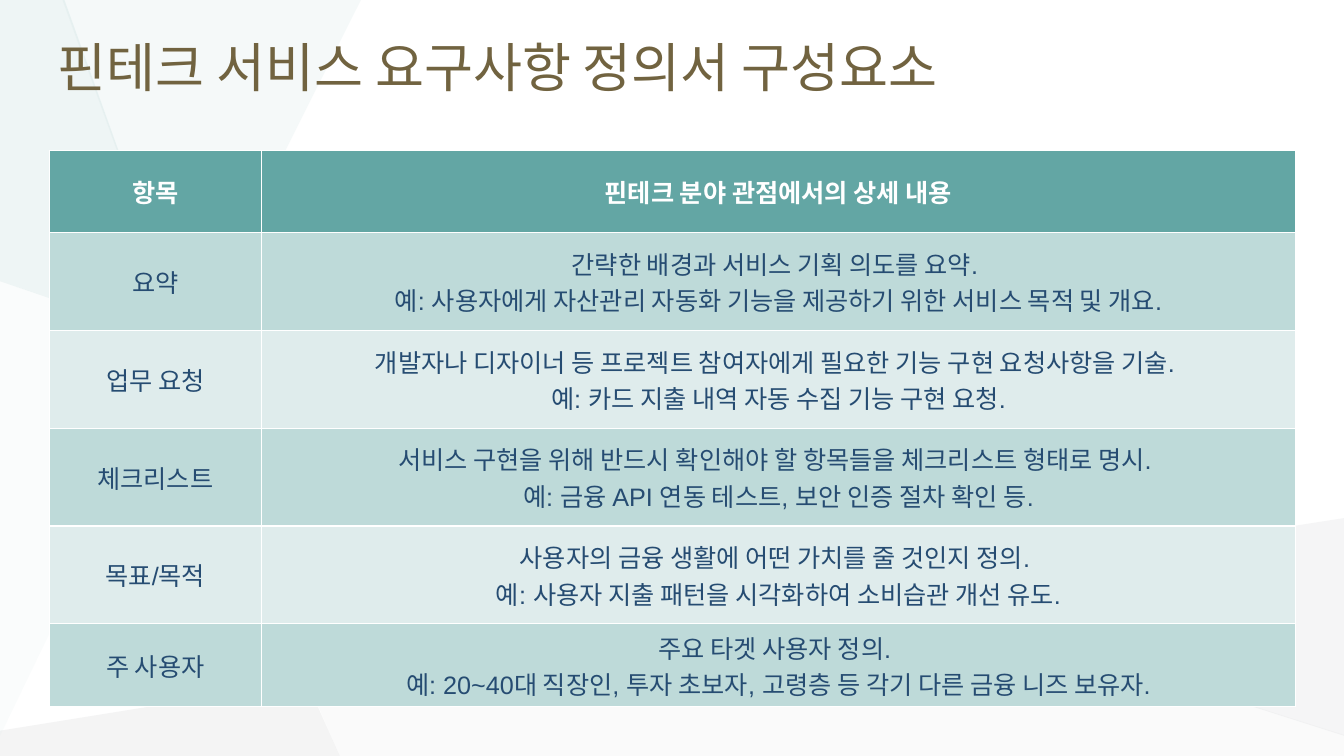
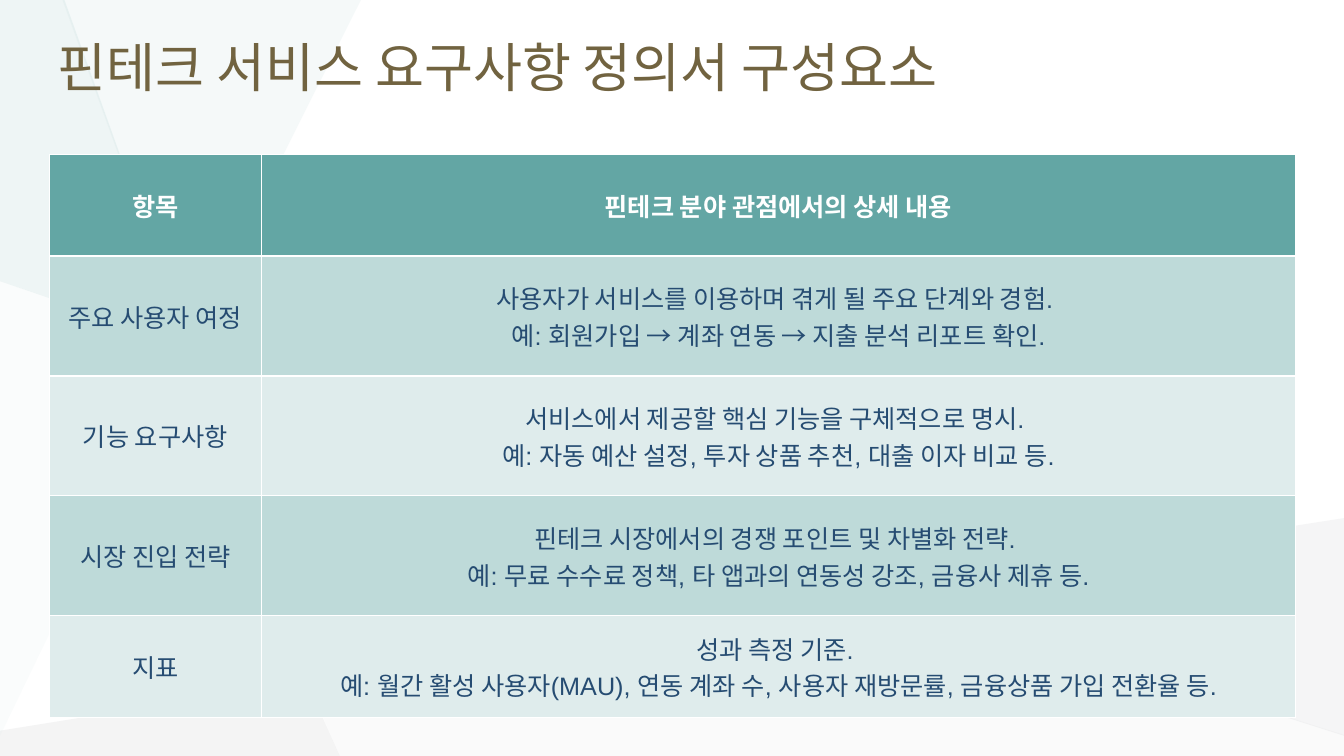
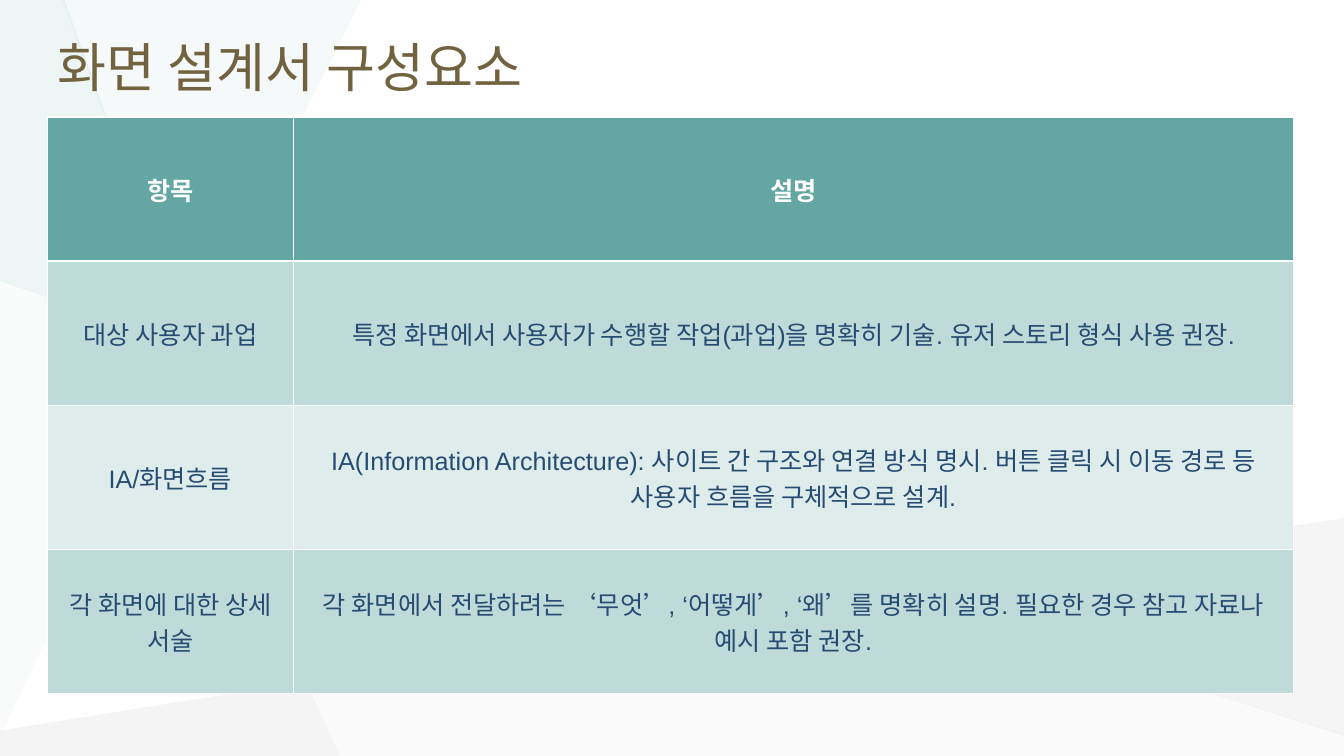
from lxml import etree
from pptx import Presentation
from pptx.dml.color import RGBColor
from pptx.enum.text import MSO_ANCHOR, PP_ALIGN
from pptx.oxml.ns import qn
from pptx.util import Inches, Pt

CENTER, MIDDLE = PP_ALIGN.CENTER, MSO_ANCHOR.MIDDLE
FONT = "Arial"
COLORS = {
    "title": "716340", "header": "63A6A4", "header_text": "FFFFFF",
    "body_text": "264C72", "odd_row": "BEDAD9", "even_row": "DFECEC",
}
SLIDE_WIDTH, SLIDE_HEIGHT = 13.33, 7.5
TABLE_WIDTH = 12.36
TITLE_BOX = (0.47, 0.14, TABLE_WIDTH, 1.03)
TITLE_SIZE, TABLE_SIZE = 38, 18

# Background facets, back to front: fill, opacity in percent, corners in inches
FACETS = [
    ("F3F2F2", 26, [(1.9, 3.44), (2.41, 5.02), (3.04, 6.76), (8.79, 5.85)]),
    ("B6B8BA", 15, [(3.04, 6.76), (0, 7.25), (0, 7.5), (3.37, 7.5)]),
    ("E0EDED", 31, [(3.58, 0), (0.62, 0), (1.86, 3.43)]),
    ("C6C8CA", 17, [(13.33, 5.14), (8.79, 5.85), (13.33, 7.3)]),
    ("B6B8BA", 6, [(8.79, 5.85), (3.05, 6.76), (3.37, 7.5), (13.33, 7.5), (13.33, 7.29)]),
    ("C1DBDB", 27, [(0.64, 0), (0, 0), (0, 2.79), (1.87, 3.43)]),
    ("C1DBDB", 8, [(0, 2.79), (0, 7.3), (1.87, 3.43)]),
]

REQUIREMENTS_TITLE = "핀테크 서비스 요구사항 정의서 구성요소"
REQUIREMENTS_HEADER = ("항목", "핀테크 분야 관점에서의 상세 내용")
SLIDES = [
    {
        "title": REQUIREMENTS_TITLE,
        "origin": (0.49, 1.49), "label_width": 2.1,
        "row_heights": [0.82] + [0.97] * 4 + [0.82],
        "rows": [
            REQUIREMENTS_HEADER,
            ("요약", "간략한 배경과 서비스 기획 의도를 요약. \n"
                   "예: 사용자에게 자산관리 자동화 기능을 제공하기 위한 서비스 목적 및 개요."),
            ("업무 요청", "개발자나 디자이너 등 프로젝트 참여자에게 필요한 기능 구현 요청사항을 기술. \n"
                      "예: 카드 지출 내역 자동 수집 기능 구현 요청."),
            ("체크리스트", "서비스 구현을 위해 반드시 확인해야 할 항목들을 체크리스트 형태로 명시. \n"
                      "예: 금융 API 연동 테스트, 보안 인증 절차 확인 등."),
            ("목표/목적", "사용자의 금융 생활에 어떤 가치를 줄 것인지 정의. \n"
                      "예: 사용자 지출 패턴을 시각화하여 소비습관 개선 유도."),
            ("주 사용자", "주요 타겟 사용자 정의. \n"
                      "예: 20~40대 직장인, 투자 초보자, 고령층 등 각기 다른 금융 니즈 보유자."),
        ],
    },
    {
        "title": REQUIREMENTS_TITLE,
        "origin": (0.49, 1.53), "label_width": 2.1,
        "row_heights": [1.01] + [1.19] * 3 + [1.01],
        "rows": [
            REQUIREMENTS_HEADER,
            ("주요 사용자 여정", "사용자가 서비스를 이용하며 겪게 될 주요 단계와 경험. \n"
                          "예: 회원가입 → 계좌 연동 → 지출 분석 리포트 확인."),
            ("기능 요구사항", "서비스에서 제공할 핵심 기능을 구체적으로 명시. \n"
                        "예: 자동 예산 설정, 투자 상품 추천, 대출 이자 비교 등."),
            ("시장 진입 전략", "핀테크 시장에서의 경쟁 포인트 및 차별화 전략. \n"
                         "예: 무료 수수료 정책, 타 앱과의 연동성 강조, 금융사 제휴 등."),
            ("지표", "성과 측정 기준. \n"
                   "예: 월간 활성 사용자(MAU), 연동 계좌 수, 사용자 재방문률, 금융상품 가입 전환율 등."),
        ],
    },
    {
        "title": "화면 설계서 구성요소",
        "origin": (0.47, 1.16), "label_width": 2.44,
        "row_heights": [1.43] * 4,
        "rows": [
            ("항목", "설명"),
            ("대상 사용자 과업",
             "특정 화면에서 사용자가 수행할 작업(과업)을 명확히 기술. 유저 스토리 형식 사용 권장."),
            ("IA/화면흐름",
             "IA(Information Architecture): 사이트 간 구조와 연결 방식 명시. "
             "버튼 클릭 시 이동 경로 등 사용자 흐름을 구체적으로 설계."),
            ("각 화면에 대한 상세 서술",
             "각 화면에서 전달하려는 ‘무엇’, ‘어떻게’, ‘왜’를 명확히 설명. "
             "필요한 경우 참고 자료나 예시 포함 권장."),
        ],
    },
]


def style_title(layout):
    """Give every title its place on the layout and its look on the master."""
    title = layout.placeholders[0]
    title.left, title.top, title.width, title.height = map(Inches, TITLE_BOX)
    level = layout.slide_master.element.find(
        f"{qn('p:txStyles')}/{qn('p:titleStyle')}/{qn('a:lvl1pPr')}")
    level.set("algn", "l")
    defaults = level.find(qn("a:defRPr"))
    defaults.set("sz", str(TITLE_SIZE * 100))
    defaults.find(qn("a:latin")).set("typeface", FONT)
    fill = defaults.find(qn("a:solidFill"))
    fill.clear()
    etree.SubElement(fill, qn("a:srgbClr"), val=COLORS["title"])


def add_facets(slide, master):
    """Draw the facets on a slide, then move them behind the master's placeholders."""
    for position, (color, opacity, corners) in enumerate(FACETS, start=2):
        points = [(Inches(x), Inches(y)) for x, y in corners]
        builder = slide.shapes.build_freeform(*points[0])
        builder.add_line_segments(points[1:], close=True)
        facet = builder.convert_to_shape()
        facet.shadow.inherit = False
        facet.line.fill.background()
        facet.fill.solid()
        facet.fill.fore_color.rgb = RGBColor.from_string(color)
        fill_color = facet.element.spPr.find(f"{qn('a:solidFill')}/{qn('a:srgbClr')}")
        etree.SubElement(fill_color, qn("a:alpha"), val=str(opacity * 1000))
        master.shapes.element.insert(position, facet.element)


def fill_cell(cell, text, fill, text_color, bold):
    cell.fill.solid()
    cell.fill.fore_color.rgb = RGBColor.from_string(fill)
    cell.vertical_anchor = MIDDLE
    cell.text_frame.text = text
    for paragraph in cell.text_frame.paragraphs:
        paragraph.alignment = CENTER
        for run in paragraph.runs:
            run.font.name, run.font.size, run.font.bold = FONT, Pt(TABLE_SIZE), bold
            run.font.color.rgb = RGBColor.from_string(text_color)


def add_item_table(slide, content):
    rows, heights = content["rows"], content["row_heights"]
    left, top = content["origin"]
    widths = (content["label_width"], TABLE_WIDTH - content["label_width"])
    box = map(Inches, (left, top, TABLE_WIDTH, sum(heights)))
    table = slide.shapes.add_table(len(rows), len(widths), *box).table
    for column, width in zip(table.columns, widths):
        column.width = Inches(width)
    for row_index, (texts, height) in enumerate(zip(rows, heights)):
        table.rows[row_index].height = Inches(height)
        is_header = row_index == 0
        band = "header" if is_header else "odd_row" if row_index % 2 else "even_row"
        text_color = COLORS["header_text" if is_header else "body_text"]
        for column_index, text in enumerate(texts):
            fill_cell(table.cell(row_index, column_index), text,
                      COLORS[band], text_color, is_header)


def main():
    presentation = Presentation()
    presentation.slide_width = Inches(SLIDE_WIDTH)
    presentation.slide_height = Inches(SLIDE_HEIGHT)
    layout = presentation.slide_layouts.get_by_name("Title Only")
    style_title(layout)
    for content in SLIDES:
        slide = presentation.slides.add_slide(layout)
        slide.shapes.title.text_frame.text = content["title"]
        add_item_table(slide, content)
    add_facets(presentation.slides[0], presentation.slide_master)
    presentation.save("out.pptx")


if __name__ == "__main__":
    main()
